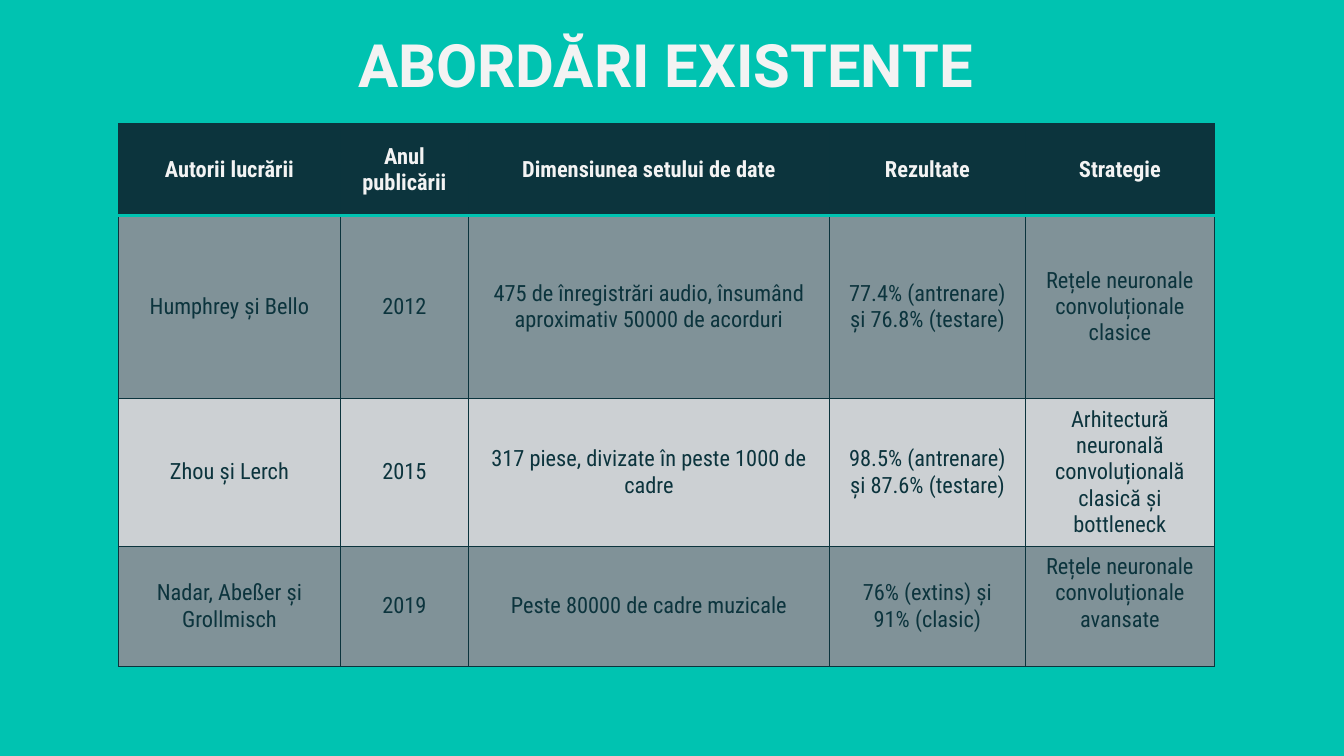
"""Build a slide with a table comparing existing approaches."""
from typing import NamedTuple

from lxml import etree
from pptx import Presentation
from pptx.dml.color import RGBColor
from pptx.enum.text import MSO_ANCHOR, PP_ALIGN
from pptx.oxml.ns import qn
from pptx.util import Pt

CENTER = PP_ALIGN.CENTER
MIDDLE = MSO_ANCHOR.MIDDLE
TEAL = RGBColor(0x00, 0xC3, 0xB1)
NAVY = RGBColor(0x0C, 0x34, 0x3D)
BORDER = RGBColor(0x0B, 0x34, 0x3D)
WHITE = RGBColor(0xF3, 0xF3, 0xF3)
SLATE = RGBColor(0x80, 0x92, 0x98)
SILVER = RGBColor(0xCC, 0xD0, 0xD3)

TITLE_FONT = {"name": "Roboto", "size": Pt(32), "bold": True}
HEAD_FONT = {"name": "Roboto Condensed", "size": Pt(12), "bold": True}
BODY_FONT = {**HEAD_FONT, "bold": False}
LEFT, TOP = Pt(63.5), Pt(66.4)
COLUMN_WIDTHS = (118.9, 68.6, 193.4, 105, 101.2)


class Row(NamedTuple):
    """One table row with its look."""
    height: float
    fill: RGBColor
    color: RGBColor
    font: dict
    texts: tuple


class Edge(NamedTuple):
    """One cell border."""
    tag: str
    color: RGBColor
    width: float


ROWS = (
    Row(49, NAVY, WHITE, HEAD_FONT,
        ("Autorii lucrării", "Anul publicării", "Dimensiunea setului de date",
         "Rezultate", "Strategie")),
    Row(98, SLATE, NAVY, BODY_FONT,
        ("Humphrey și Bello", "2012",
         "475 de înregistrări audio, însumând aproximativ 50000 de acorduri",
         "77.4% (antrenare) și 76.8% (testare)",
         "Rețele neuronale convoluționale clasice")),
    Row(77.6, SILVER, NAVY, BODY_FONT,
        ("Zhou și Lerch", "2015", "317 piese, divizate în peste 1000 de cadre",
         "98.5% (antrenare) și 87.6% (testare)",
         "Arhitectură neuronală convoluțională clasică și bottleneck")),
    Row(63.3, SLATE, NAVY, BODY_FONT,
        ("Nadar, Abeßer și Grollmisch", "2019", "Peste 80000 de cadre muzicale",
         "76% (extins) și 91% (clasic)",
         "Rețele neuronale convoluționale avansate")),
)


def write(tf, text: str, font: dict, color: RGBColor) -> None:
    """Put one centred run of text in a text frame."""
    tf.word_wrap = True
    p = tf.paragraphs[0]
    p.alignment = CENTER
    r = p.add_run()
    r.text = text
    for name, value in font.items():
        setattr(r.font, name, value)
    r.font.color.rgb = color


def add_edge(cell, edge: Edge) -> None:
    """Draw one border of a cell."""
    tc_pr = cell._tc.get_or_add_tcPr()
    ln = etree.SubElement(tc_pr, qn(f"a:{edge.tag}"), w=str(Pt(edge.width)))
    fill = etree.SubElement(ln, qn("a:solidFill"))
    etree.SubElement(fill, qn("a:srgbClr"), val=str(edge.color))


def cell_edges(row_index: int) -> list[Edge]:
    """Return the borders of a cell, with a teal rule under the header."""
    thin, rule = (BORDER, 0.75), (TEAL, 2)
    return [Edge("lnL", *thin), Edge("lnR", *thin),
            Edge("lnT", *(rule if row_index == 1 else thin)),
            Edge("lnB", *(rule if row_index == 0 else thin))]


def add_title(s, text: str) -> None:
    """Add the slide title."""
    tf = s.shapes.add_textbox(Pt(118), Pt(13.7), Pt(477.4), Pt(40.3)).text_frame
    tf.vertical_anchor = MIDDLE
    write(tf, text, TITLE_FONT, WHITE)


def add_approaches(s, rows: tuple) -> None:
    """Add the table of approaches."""
    width, height = sum(COLUMN_WIDTHS), sum(row.height for row in rows)
    table = s.shapes.add_table(len(rows), len(COLUMN_WIDTHS), LEFT, TOP,
                               Pt(width), Pt(height)).table
    for column, column_width in zip(table.columns, COLUMN_WIDTHS):
        column.width = Pt(column_width)
    for i, row in enumerate(rows):
        table.rows[i].height = Pt(row.height)
        for j, text in enumerate(row.texts):
            cell = table.cell(i, j)
            cell.vertical_anchor = MIDDLE
            for edge in cell_edges(i):
                add_edge(cell, edge)
            cell.fill.solid()
            cell.fill.fore_color.rgb = row.fill
            write(cell.text_frame, text, row.font, row.color)
    table.cell(len(rows) - 1, len(COLUMN_WIDTHS) - 1).margin_bottom = Pt(17.5)


def main() -> None:
    """Build and save the slide."""
    prs = Presentation()
    prs.slide_width, prs.slide_height = Pt(720), Pt(405)
    s = prs.slides.add_slide(prs.slide_layouts[6])
    s.background.fill.solid()
    s.background.fill.fore_color.rgb = TEAL
    add_title(s, "ABORDĂRI EXISTENTE")
    add_approaches(s, ROWS)
    prs.save("out.pptx")


if __name__ == "__main__":
    main()
